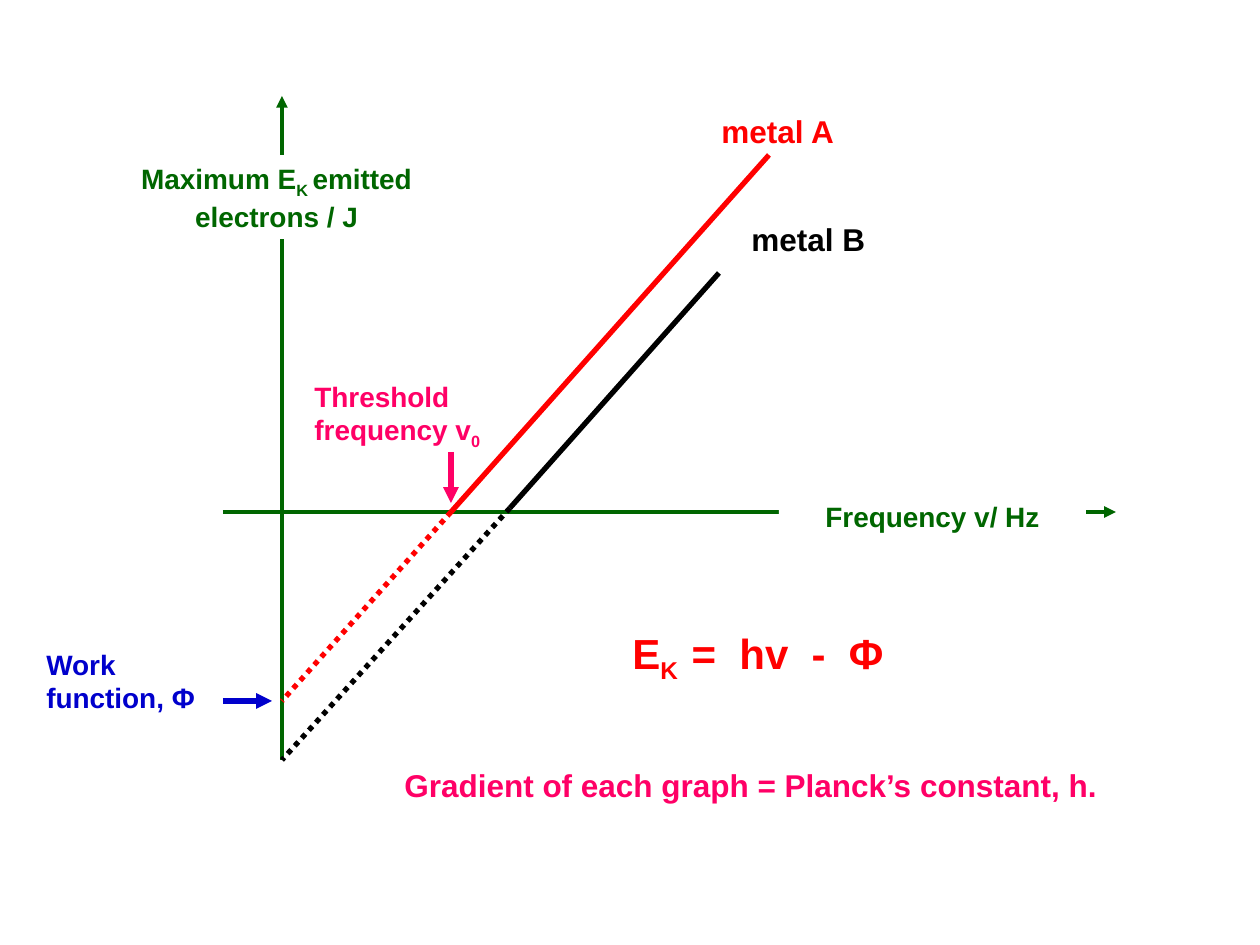
from pptx import Presentation, util as u
from pptx.dml.color import RGBColor
from pptx.enum import dml, shapes, text as t
from pptx.oxml.ns import qn
from lxml import etree

PX = 914400 // 126
GREEN, RED, BLACK = "006600", "FF0000", "000000"
BLUE, PINK = "0000CC", "FF0066"


def px(n):
    return u.Emu(n * PX)


def paint(color, code):
    color.rgb = RGBColor.from_string(code)


def rule(slide, start, end, hue, width=3, dotted=False, arrow=False):
    line = slide.shapes.add_connector(
        shapes.MSO_CONNECTOR.STRAIGHT, *map(px, (*start, *end)))
    paint(line.line.color, hue)
    line.line.width = u.Pt(width)
    if dotted:
        line.line.dash_style = dml.MSO_LINE.ROUND_DOT
    if arrow:
        ln = line.line._get_or_add_ln()
        etree.SubElement(ln, qn("a:tailEnd"), type="triangle")
    etree.SubElement(line._element.spPr, qn("a:effectLst"))


def label(slide, box, *parts, hue, size=16, center=False, fill=None):
    """Write the parts in one paragraph; every second part is a subscript."""
    item = slide.shapes.add_textbox(*map(px, box))
    if fill:
        item.fill.solid()
        paint(item.fill.fore_color, fill)
    frame = item.text_frame
    frame.word_wrap = True
    para = frame.paragraphs[0]
    para.alignment = t.PP_ALIGN.CENTER if center else t.PP_ALIGN.LEFT
    for i, part in enumerate(parts):
        run = para.add_run()
        run.text = part
        run.font.name, run.font.size, run.font.bold = "Arial", u.Pt(size), True
        paint(run.font.color, hue)
        if i % 2:
            run.font._element.set("baseline", "-25000")


def axes(slide, x, y, w, h):
    """Draw both axes, with the names on white boxes that break the lines."""
    rule(slide, (x + 59, y + h), (x + 59, y), GREEN, 2.25, arrow=True)
    rule(slide, (x, y + 416), (x + w, y + 416), GREEN, 2.25, arrow=True)
    form = dict(hue=GREEN, center=True, fill="FFFFFF")
    label(slide, (x - 100, y + 59, 307, 84),
          "Maximum E", "K ", "emitted electrons / J", **form)
    label(slide, (x + 556, y + 397, 307, 47), "Frequency v/ Hz", **form)


def metal(slide, x, y, w, h, cross, name, tag, hue):
    """Draw a graph across its box, dotted left of the crossing point."""
    mid = x + cross[0], y + cross[1]
    rule(slide, mid, (x + w, y), hue)
    rule(slide, mid, (x, y + h), hue, dotted=True)
    label(slide, (x + tag[0], y + tag[1], 159, 50), name, hue=hue, size=18)


def work(slide, x, y, w, h):
    label(slide, (x, y, 179, h), "Work function, Φ", hue=BLUE)
    rule(slide, (x + 189, y + 60), (x + w, y + 60), BLUE, arrow=True)


def threshold(slide, x, y, w, h):
    label(slide, (x, y, w, 84), "Threshold frequency v", "0", hue=PINK)
    rule(slide, (x + 149, y + 79), (x + 149, y + h), PINK, arrow=True)


def main():
    deck = Presentation()
    deck.slide_width, deck.slide_height = u.Inches(10), u.Inches(7.5)
    slide = deck.slides.add_slide(deck.slide_layouts[6])
    axes(slide, 223, 96, 893, 664)
    metal(slide, 282, 155, 487, 546, (169, 357), "metal A", (427, -49), RED)
    work(slide, 34, 641, 238, 81)
    threshold(slide, 302, 373, 198, 130)
    metal(slide, 282, 273, 437, 487, (228, 235), "metal B", (457, -59), BLACK)
    label(slide, (620, 621, 287, 71), "E", "K  ", "=  hv  -  Φ",
          hue=RED, size=24)
    label(slide, (392, 760, 753, 50),
          "Gradient of each graph = Planck’s constant, h.", hue=PINK, size=18)
    deck.save("out.pptx")


if __name__ == "__main__":
    main()
